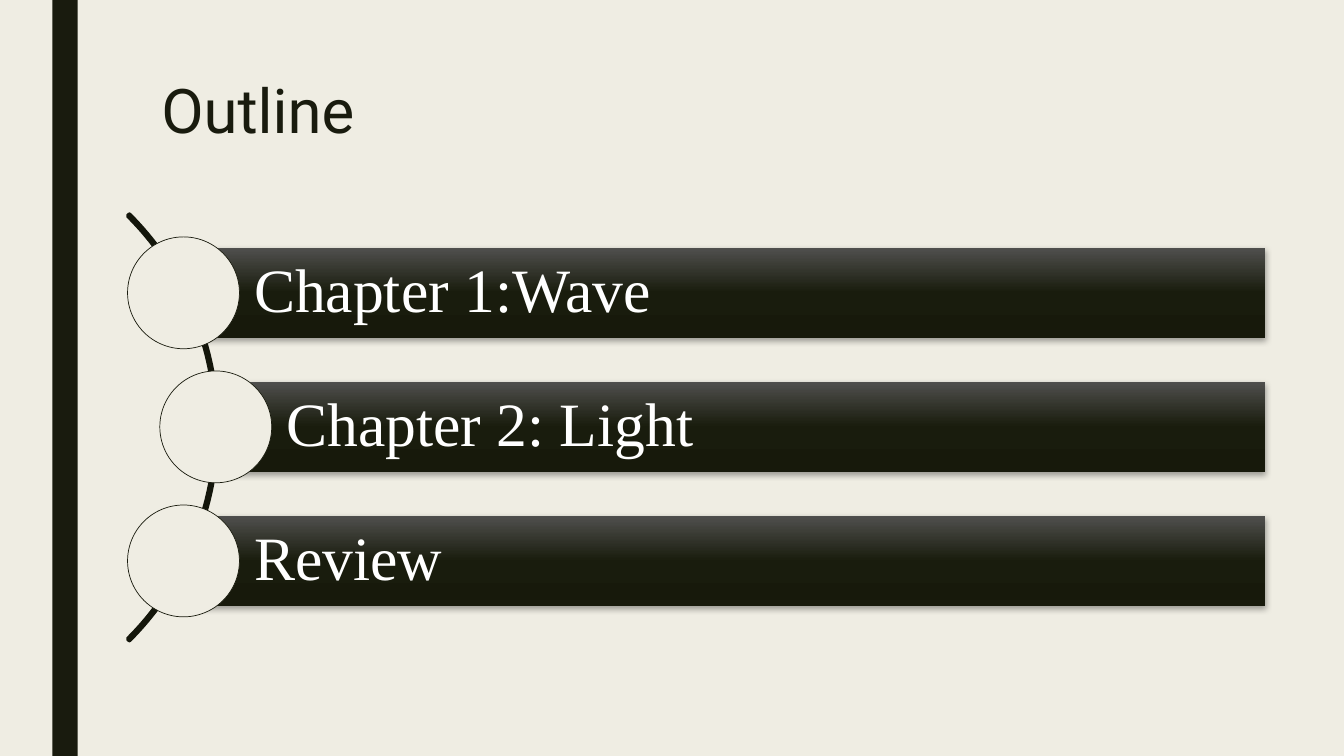
from copy import deepcopy

from lxml import etree
from pptx import Presentation
from pptx import util as u
from pptx.dml.color import RGBColor
from pptx.enum import shapes, text
from pptx.oxml.ns import qn

CREAM = RGBColor(0xEF, 0xED, 0xE3)
OLIVE = RGBColor(0x19, 0x1B, 0x0E)
ARC_OLIVE = RGBColor(0x14, 0x16, 0x0B)
WHITE = RGBColor(0xFF, 0xFF, 0xFF)
BAR_STOPS = [
    (0, RGBColor(0x4F, 0x4F, 0x4D)),
    (0.5, RGBColor(0x19, 0x1C, 0x0D)),
    (1, RGBColor(0x17, 0x19, 0x0B)),
]
CHAPTERS = [("Chapter 1:Wave", 1.82), ("Chapter 2: Light", 2.14), ("Review", 1.82)]
FIRST_TOP, PITCH = 2.46, 1.33
BAR_RIGHT, BAR_HEIGHT = 12.55, 0.89
CIRCLE = 1.11


class OutlineSlide:
    """Hold the style and the current slide, and draw each kind of element."""

    def __init__(self, prs):
        self.slide = prs.slides.add_slide(prs.slide_layouts[5])
        self.slide.background.fill.solid()
        self.slide.background.fill.fore_color.rgb = CREAM

    def label(self, frame, wording, font_name, color, spacing):
        frame.text = wording
        frame.word_wrap = True
        paragraph = frame.paragraphs[0]
        paragraph.alignment = text.PP_ALIGN.LEFT
        paragraph.line_spacing = spacing
        font = paragraph.runs[0].font
        font.name, font.size, font.color.rgb = font_name, u.Pt(44), color

    def title(self, wording):
        heading = self.slide.shapes.title
        heading.left, heading.top = u.Inches(1.5), u.Inches(0.75)
        heading.width, heading.height = u.Inches(10.5), u.Inches(1.62)
        self.label(heading.text_frame, wording, "Roboto", OLIVE, 0.89)
        heading.text_frame.vertical_anchor = text.MSO_ANCHOR.TOP
        heading.text_frame.auto_size = text.MSO_AUTO_SIZE.NONE

    def shape(self, kind, left, top, width, height, fill=None, line=None, weight=1):
        drawn = self.slide.shapes.add_shape(
            kind, u.Inches(left), u.Inches(top), u.Inches(width), u.Inches(height))
        drawn.shadow.inherit = False
        if fill is not None:
            drawn.fill.solid()
            drawn.fill.fore_color.rgb = fill
        if line is None:
            drawn.line.fill.background()
        else:
            drawn.line.color.rgb = line
            drawn.line.width = u.Pt(weight)
        return drawn

    def arc(self, left, top, size):
        curve = self.shape(shapes.MSO_SHAPE.BLOCK_ARC, left, top, size, size,
                           ARC_OLIVE, ARC_OLIVE, 2.75)
        for index, value in enumerate((189, 27, 0.004)):
            curve.adjustments[index] = value

    def shade(self, bar):
        bar.fill.gradient()
        bar.fill.gradient_angle = 270
        stop_list = bar._element.spPr.find(".//" + qn("a:gsLst"))
        stop_list.append(deepcopy(stop_list[0]))
        for stop, (position, color) in zip(bar.fill.gradient_stops, BAR_STOPS):
            stop.position = position
            stop.color.rgb = color

    def cast_shadow(self, bar):
        effects = bar._element.spPr.find(qn("a:effectLst"))
        outer = etree.SubElement(
            effects, qn("a:outerShdw"), blurRad=str(u.Pt(4.5)),
            dist=str(u.Pt(1.5)), dir="5400000", rotWithShape="0")
        tint = etree.SubElement(outer, qn("a:srgbClr"), val="000000")
        etree.SubElement(tint, qn("a:alpha"), val="35000")

    def chapter(self, wording, left, top):
        bar = self.shape(shapes.MSO_SHAPE.RECTANGLE, left, top,
                         BAR_RIGHT - left, BAR_HEIGHT)
        self.shade(bar)
        self.cast_shadow(bar)
        frame = bar.text_frame
        self.label(frame, wording, "Times New Roman", WHITE, 0.9)
        frame.vertical_anchor = text.MSO_ANCHOR.MIDDLE
        frame.margin_left = u.Inches(0.7)
        frame.margin_top = frame.margin_right = frame.margin_bottom = u.Inches(0.12)
        self.shape(shapes.MSO_SHAPE.OVAL, left - CIRCLE / 2,
                   top + (BAR_HEIGHT - CIRCLE) / 2, CIRCLE, CIRCLE, CREAM, OLIVE, 0.5)


def main():
    prs = Presentation()
    prs.slide_width, prs.slide_height = u.Inches(13.33), u.Inches(7.5)
    outline = OutlineSlide(prs)
    outline.shape(shapes.MSO_SHAPE.RECTANGLE, 0.52, 0, 0.25, 7.5, OLIVE)
    outline.title("Outline")
    outline.arc(-3.82, 1.25, 5.98)
    for row, (wording, left) in enumerate(CHAPTERS):
        outline.chapter(wording, left, FIRST_TOP + row * PITCH)
    prs.save("out.pptx")


if __name__ == "__main__":
    main()
